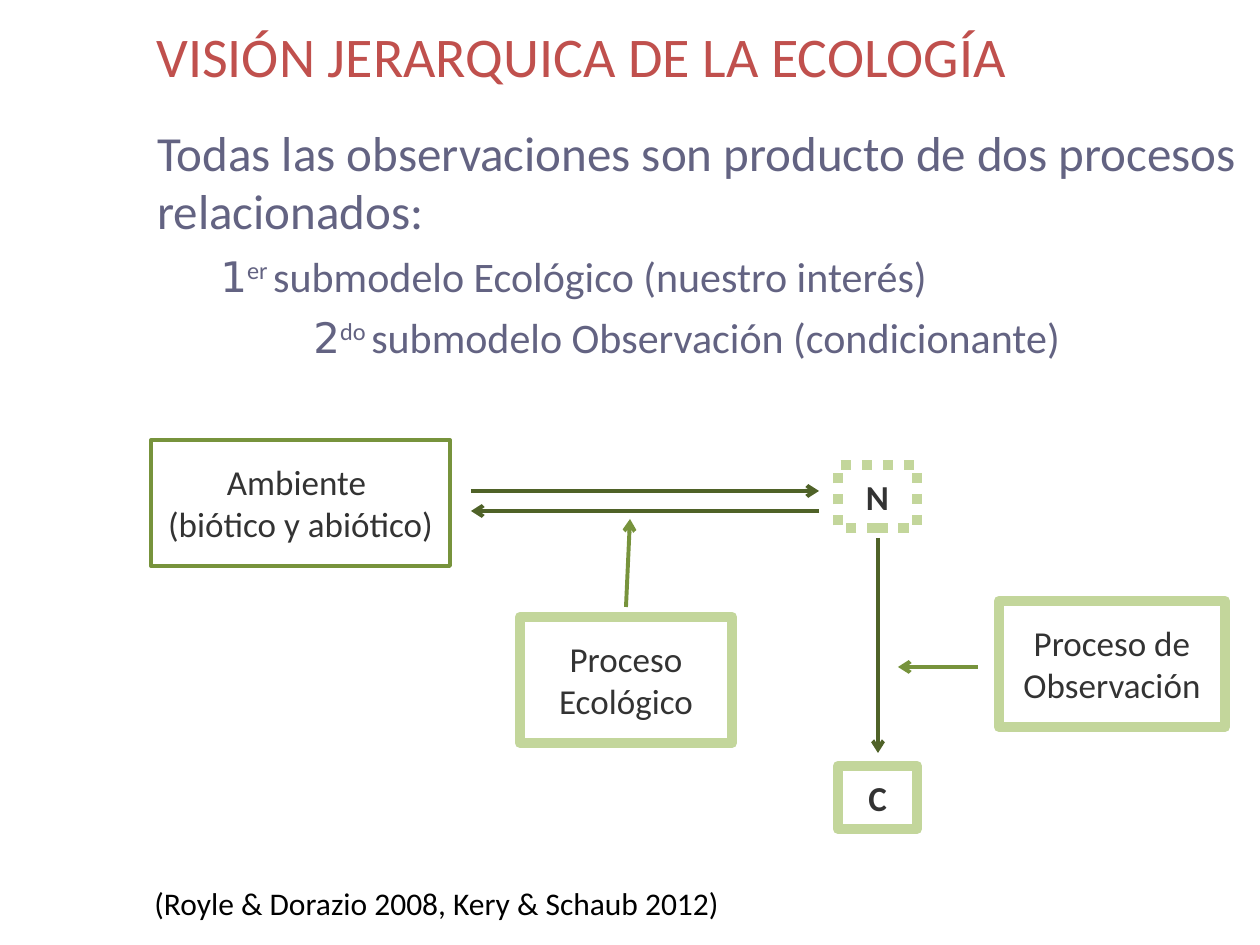
import lxml.etree
import pptx
import pptx.dml.color
import pptx.enum.dml
import pptx.enum.shapes
import pptx.enum.text
import pptx.oxml.ns
import pptx.util

PX = 914400 / 126
DARK, GREEN, PALE = "4F6228", "77933C", "C3D69B"
SLATE = "636382"


def px(*lengths):
    return [pptx.util.Emu(round(length * PX)) for length in lengths]


def style(font, size, color, name="Calibri"):
    font.size = pptx.util.Pt(size)
    font.name = name
    font.color.rgb = pptx.dml.color.RGBColor.from_string(color)


deck = pptx.Presentation()
deck.slide_width, deck.slide_height = px(1260, 945)
slide = deck.slides.add_slide(deck.slide_layouts[6])
shapes = slide.shapes

# Title and citation
for text, place, size, color, wrap in [
    ("VISIÓN JERARQUICA DE LA ECOLOGÍA", (144, 15, 1062, 81), 32, "C0504D", True),
    ("(Royle & Dorazio 2008, Kery & Schaub 2012)", (142, 878, 612, 50), 18, "000000", False),
]:
    frame = shapes.add_textbox(*px(*place)).text_frame
    frame.word_wrap = wrap
    frame.text = text
    style(frame.paragraphs[0].font, size, color)

# Statement and its two submodels
statement = shapes.add_textbox(*px(145, 116, 1111, 753)).text_frame
statement.word_wrap = True
statement.text = "Todas las observaciones son producto de dos procesos relacionados:"
style(statement.paragraphs[0].font, 28, SLATE)
statement.paragraphs[0].space_before = pptx.util.Pt(6)

for number, ending, submodel, indent in [
    ("1", "er ", "submodelo Ecológico (nuestro interés)", 63),
    ("2", "do ", "submodelo Observación (condicionante)", 156),
]:
    paragraph = statement.add_paragraph()
    paragraph.level = 1
    paragraph.space_before = pptx.util.Pt(6)
    properties = paragraph._p.get_or_add_pPr()
    properties.set("marL", str(px(indent)[0]))
    properties.set("indent", "0")
    for text, face, baseline in [
        (number, "DejaVu Sans", 0),
        (ending, "Calibri", 30000),
        (submodel, "Calibri", 0),
    ]:
        run = paragraph.add_run()
        run.text = text
        style(run.font, 24, SLATE, face)
        if baseline:
            run._r.get_or_add_rPr().set("baseline", str(baseline))

# Boxes of the hierarchy
for text, place, color, width, bold, dotted in [
    ("Ambiente \n(biótico y abiótico)", (151, 440, 299, 126), GREEN, 2.25, False, False),
    ("Proceso Ecológico", (520, 617, 212, 126), PALE, 6, False, False),
    ("Proceso de Observación", (999, 601, 226, 126), PALE, 6, False, False),
    ("C", (838, 766, 79, 63), PALE, 6, True, False),
    ("N", (838, 465, 79, 63), PALE, 6, True, True),
]:
    box = shapes.add_shape(pptx.enum.shapes.MSO_SHAPE.RECTANGLE, *px(*place))
    box.shadow.inherit = False
    box.fill.background()
    box.line.color.rgb = pptx.dml.color.RGBColor.from_string(color)
    box.line.width = pptx.util.Pt(width)
    if dotted:
        box.line.dash_style = pptx.enum.dml.MSO_LINE.ROUND_DOT
    frame = box.text_frame
    frame.word_wrap = True
    frame.vertical_anchor = pptx.enum.text.MSO_ANCHOR.MIDDLE
    frame.text = text
    for paragraph in frame.paragraphs:
        paragraph.alignment = pptx.enum.text.PP_ALIGN.CENTER
        style(paragraph.font, 20, "333333")
        paragraph.font.bold = bold

# Arrows between the boxes
for ends, color in [
    ((471, 491, 819, 491), DARK),
    ((819, 511, 471, 511), DARK),
    ((878, 538, 878, 753), DARK),
    ((626, 607, 630, 519), GREEN),
    ((978, 667, 898, 667), GREEN),
]:
    arrow = shapes.add_connector(pptx.enum.shapes.MSO_CONNECTOR.STRAIGHT, *px(*ends))
    arrow.line.color.rgb = pptx.dml.color.RGBColor.from_string(color)
    arrow.line.width = pptx.util.Pt(2.25)
    head = lxml.etree.SubElement(arrow.line._get_or_add_ln(), pptx.oxml.ns.qn("a:tailEnd"))
    head.set("type", "arrow")
    lxml.etree.SubElement(arrow._element.spPr, pptx.oxml.ns.qn("a:effectLst"))

deck.save("out.pptx")
